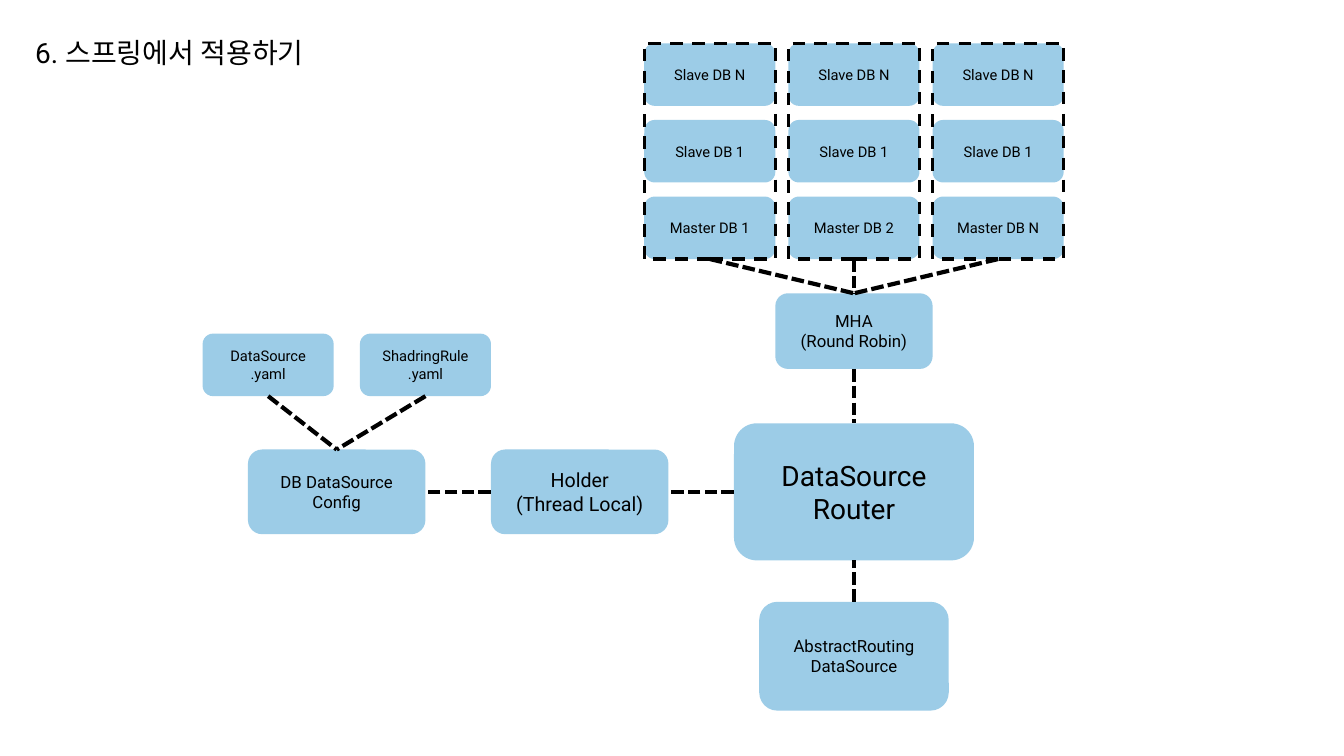
from pptx import Presentation
from pptx.dml.color import RGBColor
from pptx.enum.dml import MSO_LINE
from pptx.enum.shapes import MSO_CONNECTOR, MSO_SHAPE
from pptx.enum.text import MSO_ANCHOR, MSO_AUTO_SIZE, PP_ALIGN
from pptx.oxml.ns import qn
from pptx.util import Pt
from lxml import etree

PX = 9144  # EMU: 100 px to the inch
FONT = "Roboto"
COLORS = {"box": "9CCCE7", "ink": "000000"}
TOP, LEFT, BOTTOM, RIGHT = range(4)
ROUNDED, RECTANGLE = MSO_SHAPE.ROUNDED_RECTANGLE, MSO_SHAPE.RECTANGLE
STRAIGHT = MSO_CONNECTOR.STRAIGHT
DASH, SHORT_DASH = MSO_LINE.DASH, MSO_LINE.SQUARE_DOT
CENTER, MIDDLE = PP_ALIGN.CENTER, MSO_ANCHOR.MIDDLE

DB_LEFT, DB_TOP = 639, 43
DB_WIDTH, DB_HEIGHT = 130, 62
COLUMN_STEP, ROW_STEP = 143, 76
MASTERS = ["Master DB 1", "Master DB 2", "Master DB N"]
SLAVES = ["Slave DB N", "Slave DB 1"]


def color(name):
    return RGBColor.from_string(COLORS[name])


def emu(*lengths):
    return [length * PX for length in lengths]


def write(frame, lines, size, align=None):
    frame.text = "\n".join(lines)
    for paragraph in frame.paragraphs:
        paragraph.alignment = align
        paragraph.font.size = Pt(size)
        paragraph.font.name = FONT
        paragraph.font.color.rgb = color("ink")


def add_title(slide, text, left, top, width, height):
    title = slide.shapes.add_textbox(*emu(left, top, width, height))
    write(title.text_frame, [text], 20)
    title.text_frame.word_wrap = False
    title.text_frame.auto_size = MSO_AUTO_SIZE.SHAPE_TO_FIT_TEXT


def add_box(slide, lines, size, left, top, width, height):
    box = slide.shapes.add_shape(ROUNDED, *emu(left, top, width, height))
    box.shadow.inherit = False
    box.fill.solid()
    box.fill.fore_color.rgb = color("box")
    box.line.fill.background()
    box.text_frame.word_wrap = True
    box.text_frame.vertical_anchor = MIDDLE
    write(box.text_frame, lines, size, CENTER)
    return box


def add_cluster_frame(slide, left, top, width, height):
    """Dashed outline around one master and its slaves."""
    outline = slide.shapes.add_shape(RECTANGLE, *emu(left, top, width, height))
    outline.shadow.inherit = False
    outline.fill.background()
    outline.line.color.rgb = color("ink")
    outline.line.width = Pt(2.25)
    outline.line.dash_style = DASH


def add_link(slide, start, start_side, end, end_side):
    link = slide.shapes.add_connector(STRAIGHT, 0, 0, 0, 0)
    link.begin_connect(start, start_side)
    link.end_connect(end, end_side)
    link.line.color.rgb = color("ink")
    link.line.width = Pt(3)
    link.line.dash_style = SHORT_DASH
    properties = link._element.find(qn("p:spPr"))
    etree.SubElement(properties, qn("a:effectLst"))


def add_cluster(slide, column, master_name):
    """Stack the slaves over their master and return the master."""
    left = DB_LEFT + column * COLUMN_STEP
    for row, name in enumerate([*SLAVES, master_name]):
        database = add_box(slide, [name], 10.5, left, DB_TOP + row * ROW_STEP,
                           DB_WIDTH, DB_HEIGHT)
    add_cluster_frame(slide, left, DB_TOP, DB_WIDTH,
                      len(SLAVES) * ROW_STEP + DB_HEIGHT)
    return database


def main():
    deck = Presentation()
    deck.slide_width, deck.slide_height = emu(1333, 750)
    slide = deck.slides.add_slide(deck.slide_layouts[6])

    add_title(slide, "6. 스프링에서 적용하기", 25, 30, 308, 44)

    source_yaml = add_box(slide, ["DataSource", ".yaml"], 10.5, 201, 331, 130, 62)
    rule_yaml = add_box(slide, ["ShadringRule", ".yaml"], 10.5, 357, 331, 130, 62)
    config = add_box(slide, ["DB DataSource", "Config"], 12, 246, 446, 176, 84)
    holder = add_box(slide, ["Holder", "(Thread Local)"], 14, 487, 446, 176, 84)
    router = add_box(slide, ["DataSource", "Router"], 20, 728, 420, 238, 136)
    routing = add_box(slide, ["AbstractRouting", "DataSource"], 12, 753, 597, 188, 108)
    mha = add_box(slide, ["MHA", "(Round Robin)"], 12, 769, 291, 156, 75)
    masters = [add_cluster(slide, column, name)
               for column, name in enumerate(MASTERS)]

    for yaml_file in (source_yaml, rule_yaml):
        add_link(slide, yaml_file, BOTTOM, config, TOP)
    add_link(slide, holder, LEFT, config, RIGHT)
    add_link(slide, router, LEFT, holder, RIGHT)
    add_link(slide, routing, TOP, router, BOTTOM)
    add_link(slide, mha, BOTTOM, router, TOP)
    for master in masters:
        add_link(slide, master, BOTTOM, mha, TOP)

    deck.save("out.pptx")


if __name__ == "__main__":
    main()
